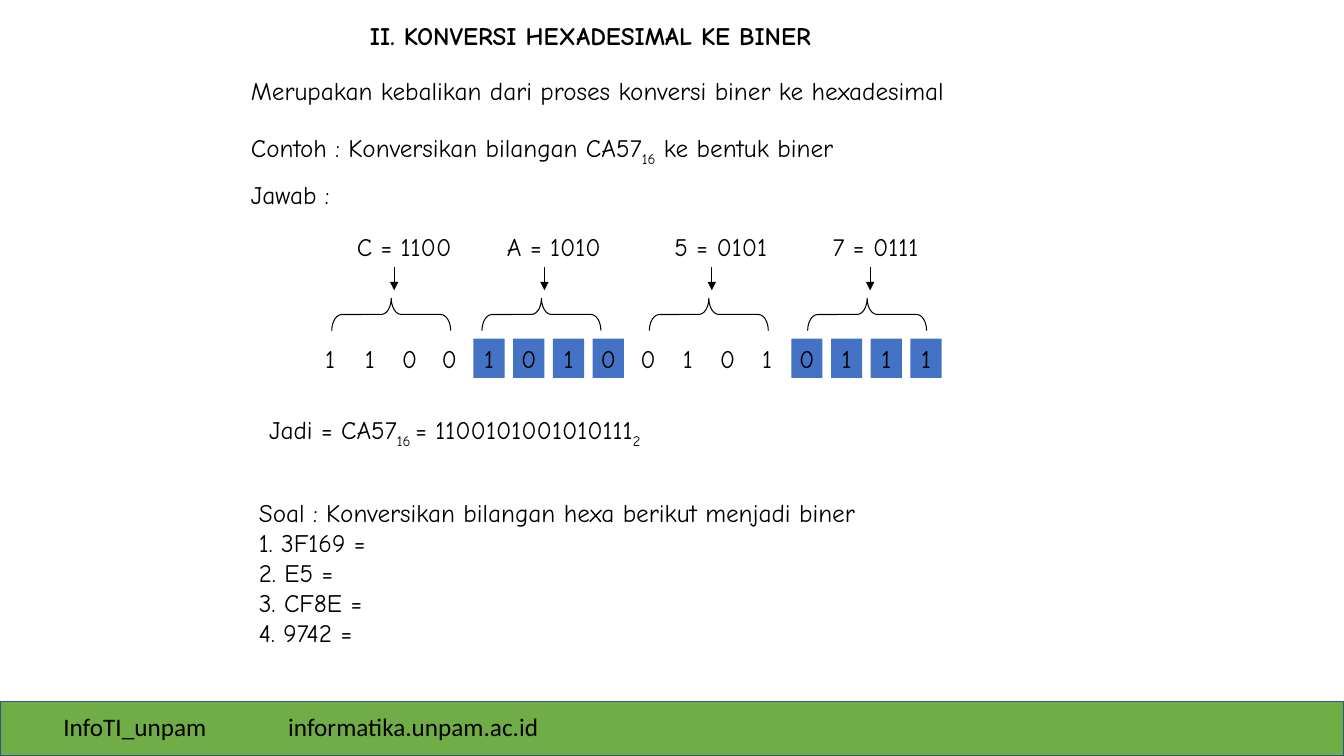
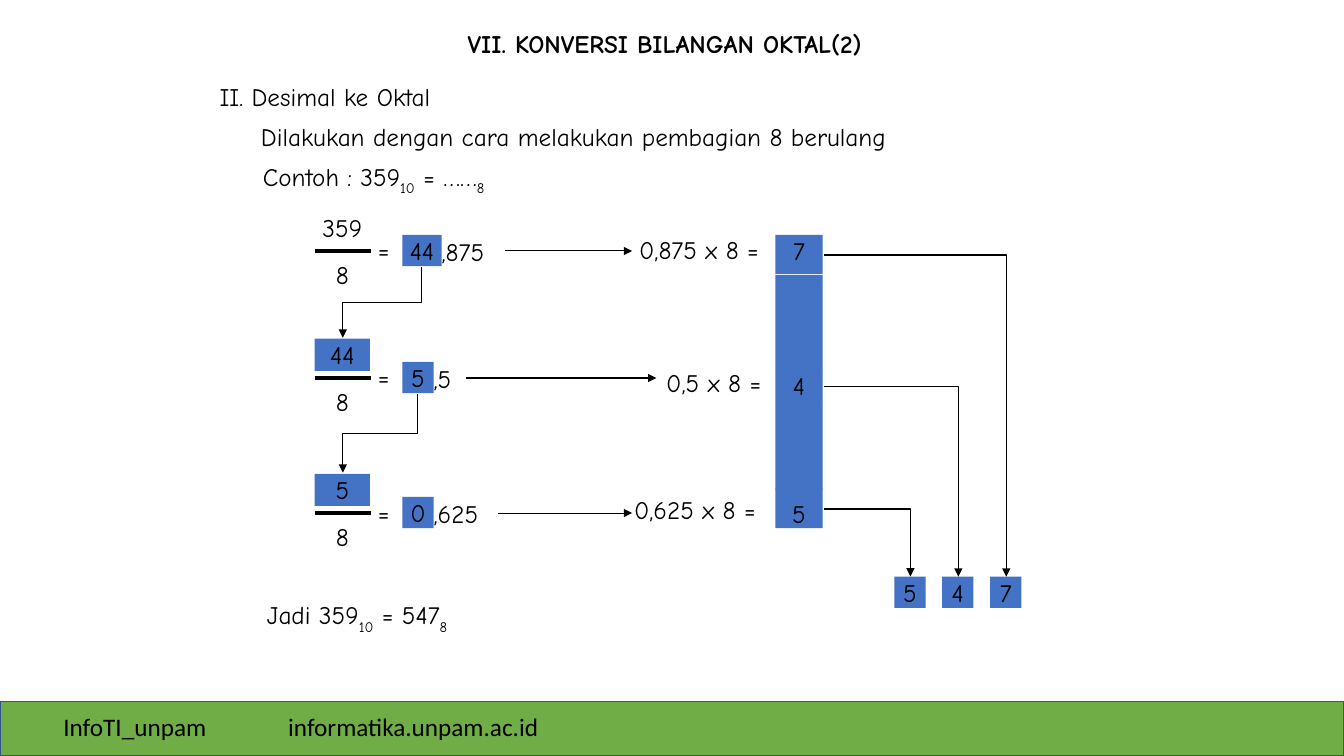
from pptx import Presentation
from pptx.dml.color import RGBColor
from pptx.enum import shapes, text
from pptx.oxml.ns import qn
from pptx.oxml.xmlchemy import OxmlElement
from pptx.util import Inches, Pt

BLACK = RGBColor(0, 0, 0)
BLUE = RGBColor(0x44, 0x72, 0xC4)
GREEN = RGBColor(0x70, 0xAD, 0x47)
NAVY = RGBColor(0x32, 0x54, 0x91)
SHAPE = shapes.MSO_SHAPE
WIRE = shapes.MSO_CONNECTOR
TOP, MID, END = text.MSO_ANCHOR.TOP, text.MSO_ANCHOR.MIDDLE, text.MSO_ANCHOR.BOTTOM


class Deck:
    """Shared style and the current slide."""

    font = "Comic Neue"
    size = Pt(18)

    def __init__(self):
        self.prs = Presentation()
        self.prs.slide_width = Inches(13.33)
        self.prs.slide_height = Inches(7.5)

    def page(self, title, x, y):
        self.slide = self.prs.slides.add_slide(self.prs.slide_layouts[6])
        band = self.shape(SHAPE.FLOWCHART_PROCESS, 0, 6.96, 13.33, 0.54, GREEN)
        band.line.color.rgb = NAVY
        band.line.width = Pt(1)
        self.note(0.53, 7.01, 1.96, "InfoTI_unpam", font="Calibri")
        self.note(2.76, 7.01, 2.95, "informatika.unpam.ac.id", font="Calibri")
        self.note(x, y, 5.35, title, bold=True)

    def shape(self, kind, x, y, w, h, fill=None):
        item = self.slide.shapes.add_shape(
            kind, Inches(x), Inches(y), Inches(w), Inches(h))
        item.shadow.inherit = False
        if fill is None:
            item.fill.background()
        else:
            item.fill.solid()
            item.fill.fore_color.rgb = fill
        item.line.fill.background()
        return item

    def runs(self, para, parts, font=None, bold=False):
        """Add runs; every second part is a subscript."""
        for i, part in enumerate(parts):
            run = para.add_run()
            run.text = part
            run.font.name = font or self.font
            run.font.size = self.size
            run.font.bold = bold
            run.font.color.rgb = BLACK
            if i % 2:
                run._r.get_or_add_rPr().set("baseline", "-30000")

    def note(self, x, y, w, *parts, font=None, bold=False):
        box = self.slide.shapes.add_textbox(
            Inches(x), Inches(y), Inches(w), Inches(0.4))
        box.text_frame.word_wrap = True
        self.runs(box.text_frame.paragraphs[0], parts, font, bold)
        return box

    def cell(self, x, y, w, h, word, fill=None, anchor=MID, left=False):
        """A tight box around a number, with or without a fill."""
        if fill is None:
            box = self.slide.shapes.add_textbox(
                Inches(x), Inches(y), Inches(w), Inches(h))
        else:
            box = self.shape(SHAPE.RECTANGLE, x, y, w, h, fill)
        if word:
            frame = box.text_frame
            frame.word_wrap = False
            frame.vertical_anchor = anchor
            frame.margin_left = frame.margin_right = 0
            frame.margin_top = frame.margin_bottom = 0
            para = frame.paragraphs[0]
            para.alignment = text.PP_ALIGN.LEFT if left else text.PP_ALIGN.CENTER
            self.runs(para, [word])

    def line(self, x1, y1, x2, y2, width=0.75, arrow=True, kind=WIRE.STRAIGHT):
        wire = self.slide.shapes.add_connector(
            kind, Inches(x1), Inches(y1), Inches(x2), Inches(y2))
        wire.line.color.rgb = BLACK
        wire.line.width = Pt(width)
        if arrow:
            tip = OxmlElement("a:tailEnd")
            tip.set("type", "triangle")
            wire.line._get_or_add_ln().append(tip)
        wire._element.spPr.append(OxmlElement("a:effectLst"))
        return wire

    def step(self, x1, y1, x2, y2):
        """Down, across to the left, down: an elbow turned a quarter."""
        mx, my = (x1 + x2) / 2, (y1 + y2) / 2
        dx, dy = (x1 - x2) / 2, (y2 - y1) / 2
        wire = self.line(mx - dy, my - dx, mx + dy, my + dx, kind=WIRE.ELBOW)
        wire._element.spPr.find(qn("a:xfrm")).set("rot", "5400000")

    def turn(self, x1, y1, x2, y2):
        """Across, then down."""
        wire = self.line(x1, y1, x2, y2, kind=WIRE.ELBOW)
        wire._element.spPr.find(qn("a:prstGeom")).set("prst", "bentConnector2")

    def brace(self, mid, y, w, h):
        item = self.shape(SHAPE.LEFT_BRACE, mid - h / 2, y + h / 2 - w / 2, h, w)
        item.rotation = 90
        item.adjustments[0] = 0.31
        item.line.color.rgb = BLACK
        item.line.width = Pt(0.75)


def hexa(deck):
    deck.page("II. KONVERSI HEXADESIMAL KE BINER", 3.57, 0.15)
    deck.note(2.39, 0.7, 7.57,
              "Merupakan kebalikan dari proses konversi biner ke hexadesimal")
    deck.note(2.39, 1.26, 6.41,
              "Contoh : Konversikan bilangan CA57", "16", " ke bentuk biner")
    deck.note(2.39, 1.73, 1.09, "Jawab :")

    # Each hexa digit with its four bits
    gap = (9.03 - 3.12) / 15
    groups = [("C", "1100", 3.44), ("A", "1010", 4.93),
              ("5", "0101", 6.59), ("7", "0111", 8.16)]
    for i, (digit, bits, x) in enumerate(groups):
        deck.note(x, 2.25, 1.25, f"{digit} = {bits}")
        deck.line(x + 0.47, 2.65, x + 0.47, 2.88)
        deck.brace(x + 0.44, 2.96, 1.18, 0.32)
        for j, bit in enumerate(bits):
            deck.cell(3.12 + gap * (4 * i + j), 3.36, 0.31, 0.39, bit,
                      BLUE if i % 2 else None)

    # Result and exercises
    deck.note(2.57, 4.06, 4.32, "Jadi = CA57", "16 ", "= 1100101001010111", "2")
    task = deck.note(2.47, 4.88, 6.61,
                     "Soal : Konversikan bilangan hexa berikut menjadi biner")
    for i, number in enumerate(["3F169", "E5", "CF8E", "9742"], 1):
        deck.runs(task.text_frame.add_paragraph(), [f"{i}. {number} ="])


def octal(deck):
    deck.page("VII. KONVERSI BILANGAN OKTAL(2)", 4.54, 0.23)
    deck.note(2.08, 0.76, 2.58, "II. Desimal ke Oktal")
    deck.note(2.49, 1.15, 7, "Dilakukan dengan cara melakukan pembagian 8 berulang")
    deck.note(2.51, 1.55, 2.66, "Contoh : 359", "10", " = ……", "8")

    # Divisions: bar y, number, quotient, its width, fraction,
    # arrow start and end, product x and y
    rows = [(2.49, "359", "44", 0.39, "875", 5.01, 6.27, 6.24, 2.28),
            (3.75, "44", "5", 0.31, "5", 4.62, 6.51, 6.51, 3.59),
            (5.09, "5", "0", 0.31, "625", 4.94, 6.27, 6.19, 4.85)]
    for i, (y, num, quot, w, frac, start, end, px, py) in enumerate(rows):
        deck.cell(3.12, y - 0.39, 0.55, 0.32, num, BLUE if i else None)
        deck.cell(3.2, y + 0.08, 0.39, 0.31, "8")
        deck.line(3.12, y, 3.68, y, 2.25, arrow=False)
        deck.note(3.65, y - 0.21, 0.33, "=")
        deck.cell(3.99, y - 0.16, w, 0.31, quot, BLUE)
        deck.cell(3.99 + w, y - 0.16, 0.71, 0.32, "," + frac, left=True)
        deck.line(start, y, end, y)
        deck.note(px, py, 1.6, f"0,{frac} x 8 =")
        if i < 2:
            deck.step(3.99 + w / 2, y + 0.16, 3.4, rows[i + 1][0] - 0.4)

    # Column of remainders
    stack = [(2.33, 0.39, "7", TOP), (2.73, 0.94, "", TOP), (3.67, 0.32, "4", TOP),
             (3.99, 0.87, "", TOP), (4.85, 0.39, "5", END)]
    for y, h, digit, anchor in stack:
        deck.cell(7.69, y, 0.47, h, digit, BLUE, anchor)

    # Remainders read from the last to the first
    for i, (digit, y) in enumerate([("5", 5.05), ("4", 3.83), ("7", 2.53)]):
        x = 8.87 + 0.95 / 2 * i
        deck.cell(x, 5.72, 0.31, 0.31, digit, BLUE)
        deck.turn(8.17, y, x + 0.16, 5.72)
    deck.note(2.55, 5.9, 2.26, "Jadi 359", "10", " = 547", "8")


def main():
    deck = Deck()
    hexa(deck)
    octal(deck)
    deck.prs.save("out.pptx")


if __name__ == "__main__":
    main()
